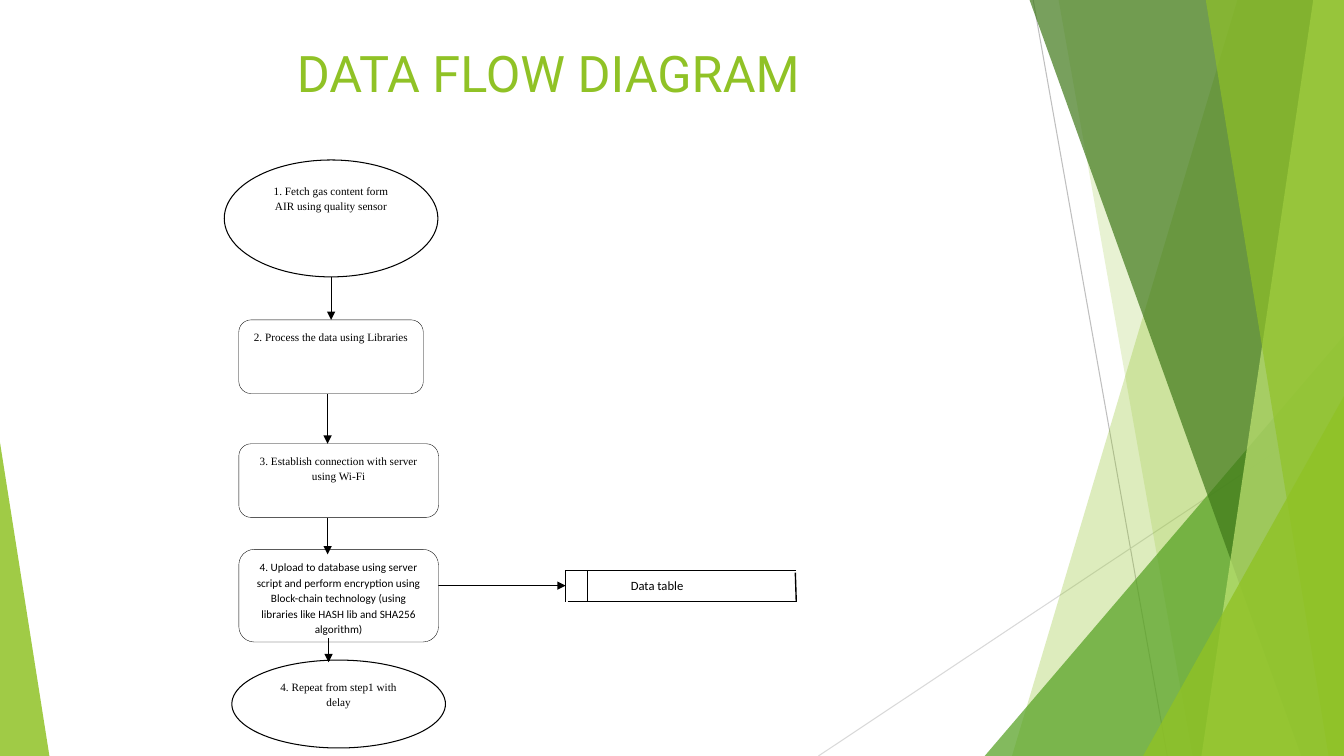
import pptx
import pptx.util
import pptx.dml.color
import pptx.enum.shapes
import pptx.enum.text
import pptx.oxml
import pptx.oxml.ns
import lxml.etree

Pt = pptx.util.Pt
RGBColor = pptx.dml.color.RGBColor
MSO_SHAPE = pptx.enum.shapes.MSO_SHAPE
PP_ALIGN = pptx.enum.text.PP_ALIGN
qn = pptx.oxml.ns.qn

COLORS = {
    "lime": "90C226",
    "green": "54A021",
    "forest": "3F7819",
    "pale": "C0E474",
    "gray": "BFBFBF",
    "light gray": "D9D9D9",
    "black": "000000",
    "white": "FFFFFF",
}
WIDTH, HEIGHT = 960, 540

presentation = pptx.Presentation()
presentation.slide_width = Pt(WIDTH)
presentation.slide_height = Pt(HEIGHT)
slide = presentation.slides.add_slide(presentation.slide_layouts[5])
shapes = slide.shapes


def add_line(start, end, color="black", weight=0.75, arrow=False):
    line = shapes.add_connector(
        pptx.enum.shapes.MSO_CONNECTOR.STRAIGHT,
        Pt(start[0]), Pt(start[1]), Pt(end[0]), Pt(end[1]))
    line.line.color.rgb = RGBColor.from_string(COLORS[color])
    line.line.width = Pt(weight)
    if arrow:
        outline = line._element.spPr.find(qn("a:ln"))
        lxml.etree.SubElement(outline, qn("a:tailEnd"), type="triangle")
    lxml.etree.SubElement(line._element.spPr, qn("a:effectLst"))
    return line


def add_box(preset, box, text, font, size, align, weight):
    """Add a white step with text at its top; weight 0 leaves out the outline."""
    shape = shapes.add_shape(preset, *[Pt(length) for length in box])
    shape.shadow.inherit = False
    shape.fill.solid()
    shape.fill.fore_color.rgb = RGBColor.from_string(COLORS["white"])
    if weight:
        shape.line.color.rgb = RGBColor.from_string(COLORS["black"])
        shape.line.width = Pt(weight)
    else:
        shape.line.fill.background()
    frame = shape.text_frame
    frame.word_wrap = True
    frame.vertical_anchor = pptx.enum.text.MSO_ANCHOR.TOP
    frame.text = text
    paragraph = frame.paragraphs[0]
    paragraph.alignment = align
    paragraph.line_spacing = 1.15
    paragraph.space_after = Pt(10)
    run_font = paragraph.runs[0].font
    run_font.name = font
    run_font.size = Pt(size)
    run_font.color.rgb = RGBColor.from_string(COLORS["black"])
    return shape


# Background: thin lines, then translucent bands and triangles
add_line((738, 0), (833.8, HEIGHT), "gray")
add_line((WIDTH, 290.2), (584.6, HEIGHT), "light gray")

# Bands: top x, bottom x. Triangles: left, top, width, apex position.
facets = [
    ("band", (884.2, 722.9), "lime", 30),
    ("band", (756, 851.8), "lime", 20),
    ("triangle", (703.4, 239.8, 256.6, 1), "green", 72),
    ("band", (735.1, 929.5), "forest", 70),
    ("band", (938.2, 858.2), "pale", 70),
    ("band", (861.1, 949), "lime", 65),
    ("triangle", (816.5, 283, 143.5, 1), "lime", 80),
    ("triangle", (0, 316.1, 35.3, 0), "lime", 85),
]
for kind, geometry, color, opacity in facets:
    if kind == "band":
        top_x, bottom_x = geometry
        builder = shapes.build_freeform(Pt(top_x), Pt(-1))
        builder.add_line_segments(
            [(Pt(WIDTH), Pt(-1)), (Pt(WIDTH), Pt(HEIGHT)), (Pt(bottom_x), Pt(HEIGHT))])
        facet = builder.convert_to_shape()
    else:
        left, top, width, apex = geometry
        facet = shapes.add_shape(
            MSO_SHAPE.ISOSCELES_TRIANGLE, Pt(left), Pt(top), Pt(width), Pt(HEIGHT - top))
        facet.adjustments[0] = apex
    facet.shadow.inherit = False
    facet.line.fill.background()
    facet.fill.solid()
    facet.fill.fore_color.rgb = RGBColor.from_string(COLORS[color])
    fill_color = facet._element.spPr.find(qn("a:solidFill"))[0]
    lxml.etree.SubElement(fill_color, qn("a:alpha"), val=str(opacity * 1000))

# Title
title = shapes.title
title.left, title.top, title.width, title.height = Pt(53.3), Pt(26.6), Pt(676.8), Pt(104.4)
title.text_frame.text = "DATA FLOW DIAGRAM"
title.text_frame.vertical_anchor = pptx.enum.text.MSO_ANCHOR.TOP
title_paragraph = title.text_frame.paragraphs[0]
title_paragraph.alignment = PP_ALIGN.CENTER
title_font = title_paragraph.runs[0].font
title_font.name = "Roboto"
title_font.size = Pt(36)
title_font.color.rgb = RGBColor.from_string(COLORS["lime"])

# Data store and the arrow that feeds it
add_box(MSO_SHAPE.RECTANGLE, (443.5, 407.5, 69, 22.3), "Data table",
        "Calibri", 9, PP_ALIGN.LEFT, 0)
for start, end in [
    ((404, 407.5), (404, 429.8)),
    ((404.6, 407.5), (568.8, 407.5)),
    ((405.4, 429.8), (569.5, 429.8)),
    ((419.8, 407.5), (419.8, 429.8)),
]:
    add_line(start, end)
add_line((568.1, 409), (568.8, 429.8), weight=1)
add_line((302.4, 418.3), (404, 418.3), arrow=True)

# Steps of the flow
OVAL, ROUNDED = MSO_SHAPE.OVAL, MSO_SHAPE.ROUNDED_RECTANGLE
SERIF = "Times New Roman"
steps = [
    (OVAL, (160.2, 114.3, 152.6, 83.5), SERIF,
     "1. Fetch gas content form AIR using quality sensor"),
    (ROUNDED, (170.6, 228.5, 131.8, 52.6), SERIF,
     "2. Process the data using Libraries"),
    (ROUNDED, (170.6, 317, 142.6, 52.6), SERIF,
     "3. Establish connection with server using Wi-Fi"),
    (ROUNDED, (170.6, 392.4, 142.6, 66.2), "Calibri",
     "4. Upload to database using server script and perform encryption using "
     "Block-chain technology (using libraries like HASH lib and SHA256 algorithm)"),
    (OVAL, (165.6, 471.5, 152.6, 62.8), SERIF,
     "4. Repeat from step1 with delay"),
]
step_shapes = [
    add_box(preset, box, text, font, 8, PP_ALIGN.CENTER, 0.75 if preset == OVAL else 0.25)
    for preset, box, font, text in steps
]

# Arrows between the steps
first_arrow = add_line((236.5, 198), (236.5, 228.5), arrow=True)
first_arrow.end_connect(step_shapes[1], 0)
for x, top, bottom in [(234, 281.5, 317), (234, 370, 396), (234.7, 455.8, 473)]:
    add_line((x, top), (x, bottom), arrow=True)

presentation.save("out.pptx")
